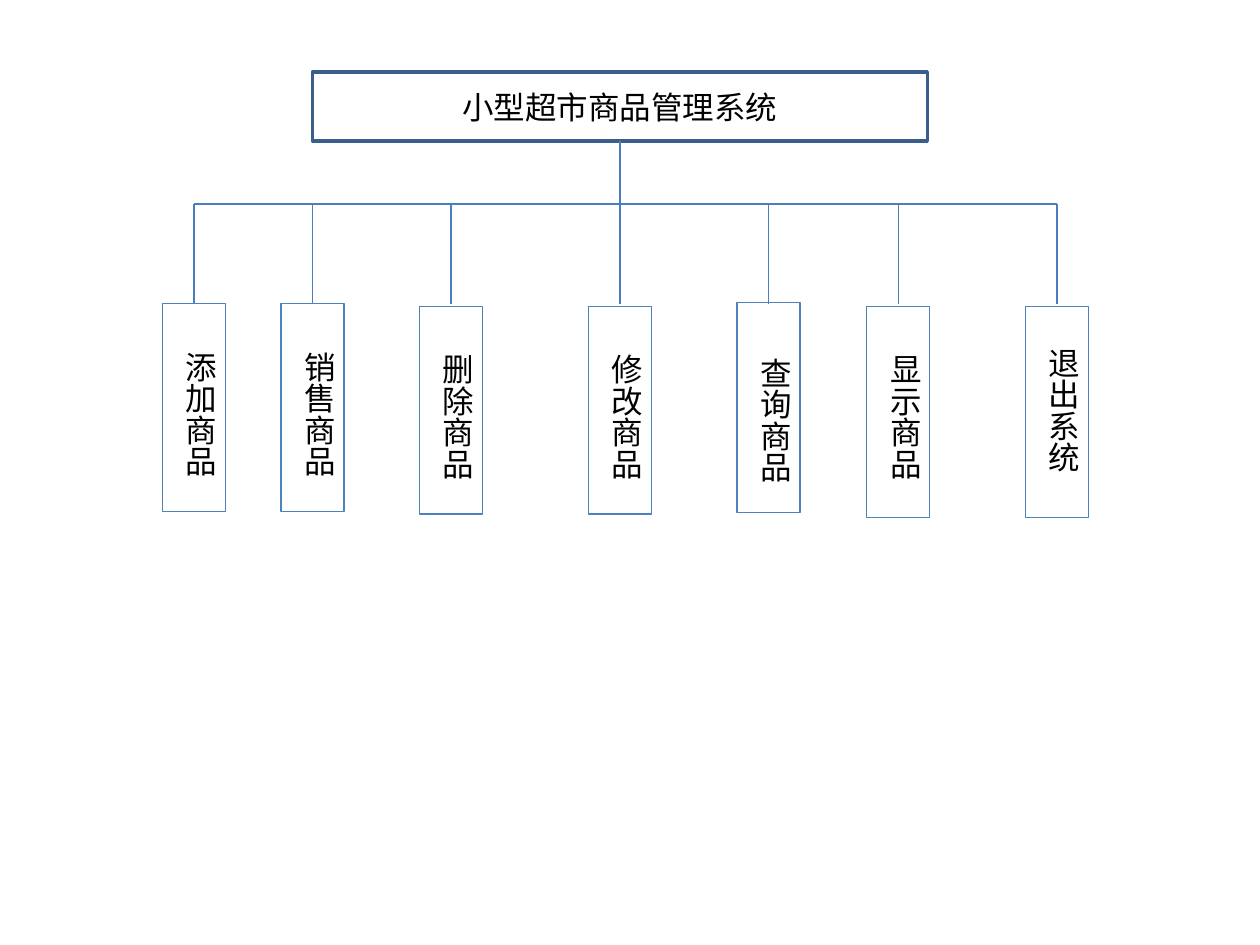
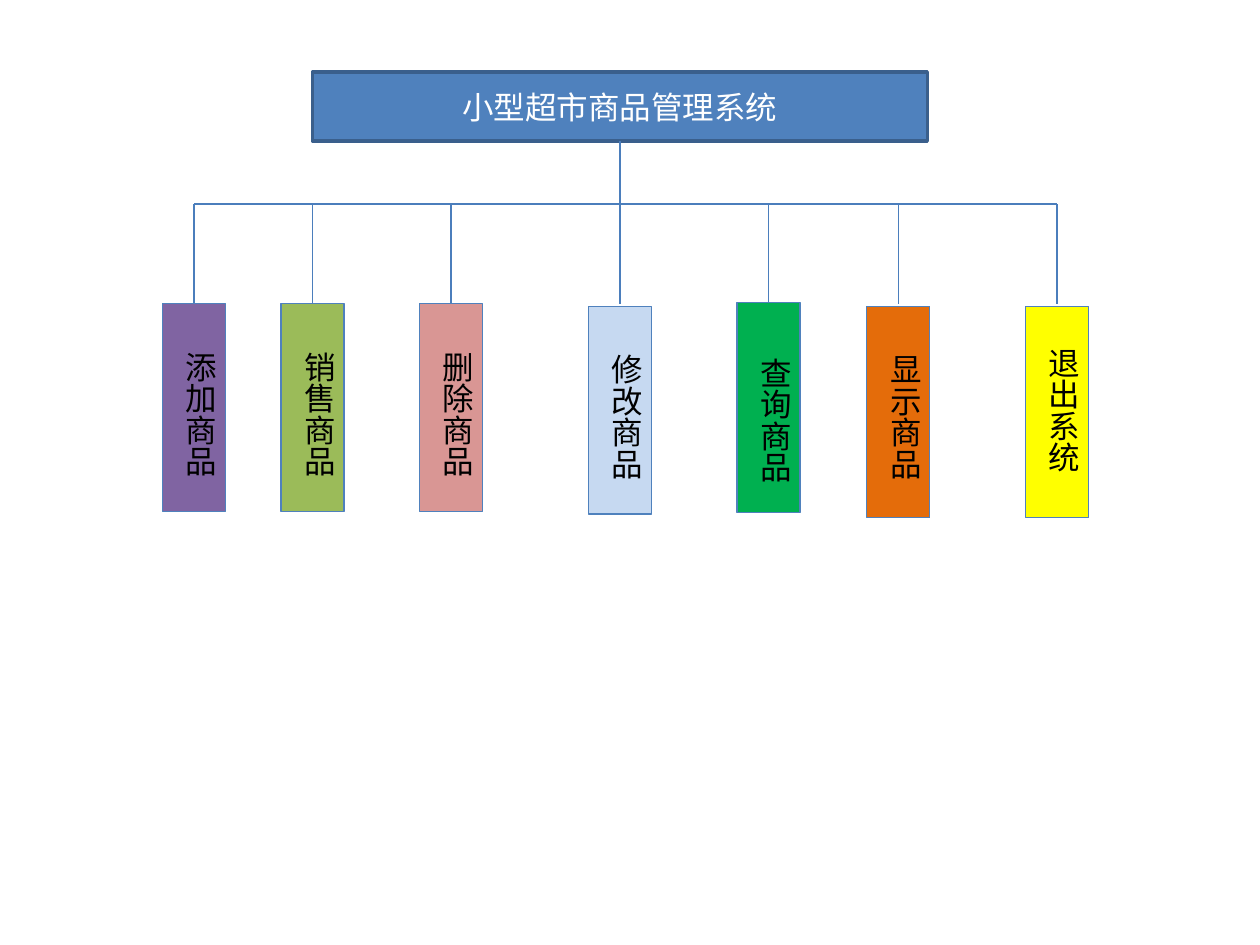
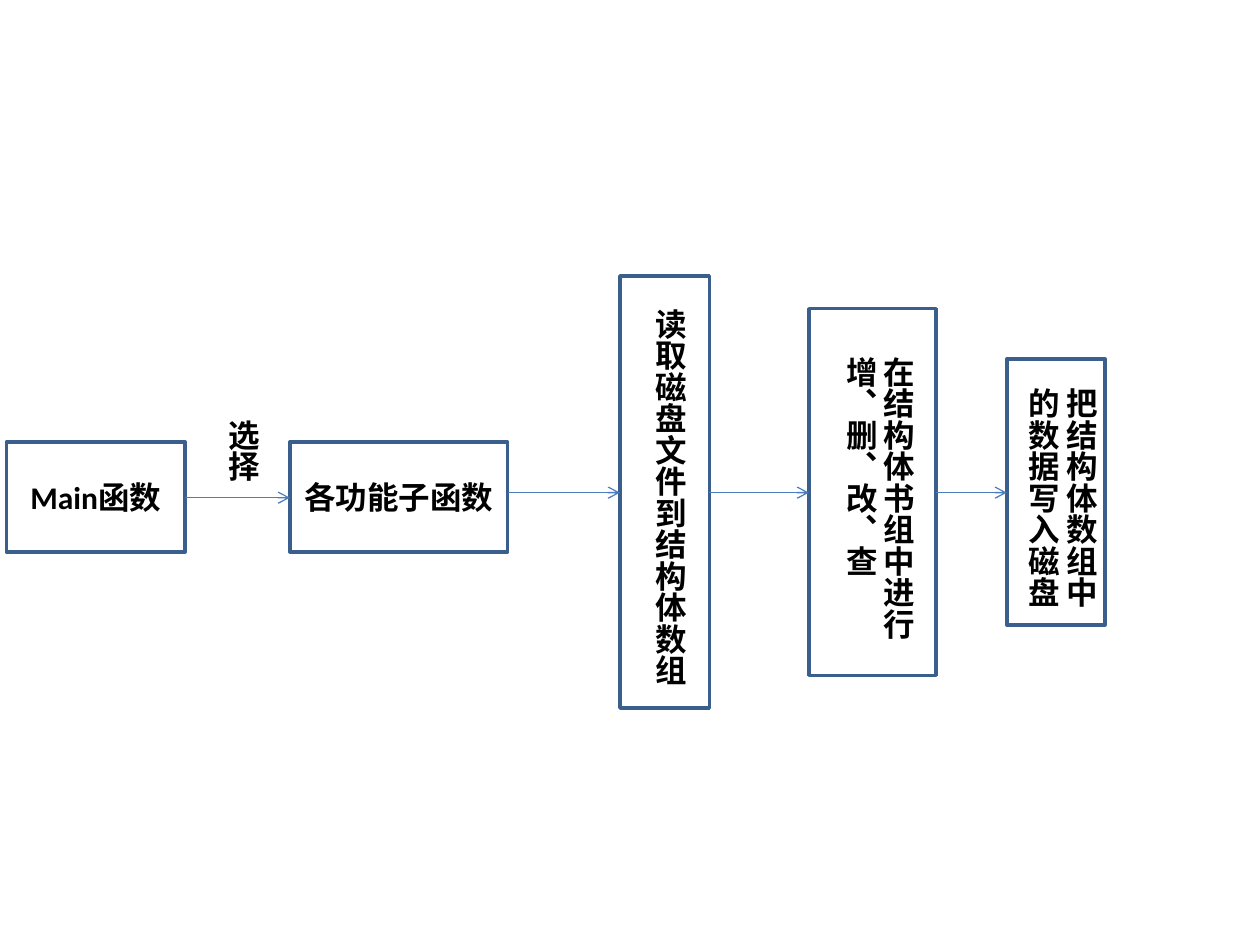
import pptx
import pptx.dml.color
import pptx.enum.shapes
import pptx.enum.text
import pptx.oxml.ns
import pptx.util
from lxml import etree

Inches = pptx.util.Inches
Pt = pptx.util.Pt
qn = pptx.oxml.ns.qn

COLORS = {
    "black": "000000", "white": "FFFFFF", "blue": "4F81BD",
    "frame": "3A5F8C", "link": "4B7EBC", "purple": "8064A2",
    "green": "9BBB59", "pink": "D99694", "pale": "C6D9F1",
    "emerald": "00B050", "orange": "E46C0A", "yellow": "FFFF00",
}

SYSTEM = "小型超市商品管理系统"
BRANCH_Y, LEAF_Y = 1.62, 2.41
LEAVES = [
    ("添加商品", 1.54, 2.41, 1.65, 0.28),
    ("销售商品", 2.48, 2.41, 1.65, 0.28),
    ("删除商品", 3.58, 2.43, 1.65, 0.28),
    ("修改商品", 4.92, 2.43, 1.65, 0.28),
    ("查询商品", 6.1, 2.4, 1.67, 0.34),
    ("显示商品", 7.13, 2.43, 1.68, 0.28),
    ("退出系统", 8.39, 2.43, 1.68, 0.23),
]
LEAF_FILLS = ["purple", "green", "pink", "pale", "emerald", "orange", "yellow"]


class Deck:
    """Holds the presentation, its style and the current slide."""

    def __init__(self):
        self.prs = pptx.Presentation()
        self.prs.slide_width = Inches(10)
        self.prs.slide_height = Inches(7.5)

    def new_slide(self):
        self.s = self.prs.slides.add_slide(self.prs.slide_layouts[6])

    def color(self, name):
        return pptx.dml.color.RGBColor.from_string(COLORS[name])

    def paint(self, sp, fill, line, width):
        if fill:
            sp.fill.solid()
            sp.fill.fore_color.rgb = self.color(fill)
        else:
            sp.fill.background()
        if line:
            sp.line.color.rgb = self.color(line)
            sp.line.width = Pt(width)

    def set_text(self, sp, text, color="black", bold=False):
        sp.text_frame.text = text
        for p in sp.text_frame.paragraphs:
            for r in p.runs:
                r.font.name = "Calibri"
                r.font.size = Pt(18)
                r.font.bold = bold
                r.font.color.rgb = self.color(color)

    def box(self, at, text="", fill=None, color="black", bold=False):
        rect = pptx.enum.shapes.MSO_SHAPE.RECTANGLE
        sp = self.s.shapes.add_shape(rect, *map(Inches, at))
        sp.shadow.inherit = False
        self.paint(sp, fill, "frame", 2)
        if text:
            self.set_text(sp, text, color, bold)
            sp.text_frame.paragraphs[0].alignment = pptx.enum.text.PP_ALIGN.CENTER

    def vertical_text(self, at, text, fill=None, line=None, bold=False, wrap=True, indent=0):
        sp = self.s.shapes.add_textbox(*map(Inches, at))
        self.paint(sp, fill, line, 0.75)
        self.set_text(sp, text, bold=bold)
        tf = sp.text_frame
        tf.word_wrap = wrap
        tf._txBody.find(qn("a:bodyPr")).set("vert", "eaVert")
        if indent:
            tf.paragraphs[0]._p.get_or_add_pPr().set("marL", str(Inches(indent)))

    def line(self, x1, y1, x2, y2, arrow=False):
        straight = pptx.enum.shapes.MSO_CONNECTOR.STRAIGHT
        cn = self.s.shapes.add_connector(straight, *map(Inches, (x1, y1, x2, y2)))
        cn.line.color.rgb = self.color("link")
        cn.line.width = Pt(0.75)
        if arrow:
            etree.SubElement(cn.line._get_or_add_ln(), qn("a:tailEnd"), type="arrow")
        etree.SubElement(cn._element.spPr, qn("a:effectLst"))

    def tree(self, root_fill, root_color, fills, tops):
        self.new_slide()
        self.box((2.48, 0.57, 4.88, 0.55), SYSTEM, root_fill, root_color)
        self.line(4.92, 1.12, 4.92, 1.75)
        self.line(LEAVES[0][1], BRANCH_Y, LEAVES[-1][1], BRANCH_Y)
        for leaf in LEAVES:
            self.line(leaf[1], BRANCH_Y, leaf[1], LEAF_Y)
        for (text, x, top, height, indent), fill in zip(LEAVES, fills):
            at = (x - 0.25, tops.get(text, top), 0.5, height)
            self.vertical_text(at, text, fill, "blue", indent=indent)

    def flow(self):
        self.new_slide()
        for left, width, text in [(0.05, 1.42, "Main函数"), (2.3, 1.73, "各功能子函数")]:
            self.box((left, 3.51, width, 0.87), text, "white", bold=True)
        self.vertical_text((1.63, 3.23, 0.5, 0.81), "选择", bold=True)
        steps = [
            ((4.92, 2.19, 0.71, 3.43), (5.02, 2.35, 0.5, 3.12), "读取磁盘文件到结构体数组"),
            ((6.42, 2.45, 1.01, 2.91), (6.52, 2.73, 0.81, 2.36), "在结构体书组中进行\n增、删、改、查"),
            ((7.99, 2.85, 0.78, 2.11), (7.97, 2.98, 0.81, 1.86), "把结构体数组中\n的数据写入磁盘"),
        ]
        for frame, at, text in steps:
            self.box(frame, fill="white")
            self.vertical_text(at, text, bold=True, wrap=False)
        arrows = [(1.47, 2.3, 3.95), (4.03, 4.92, 3.91), (5.63, 6.42, 3.91), (7.43, 7.99, 3.91)]
        for start, end, y in arrows:
            self.line(start, y, end, y, arrow=True)


def main():
    deck = Deck()
    deck.tree(None, "black", [None] * len(LEAVES), {})
    deck.tree("blue", "white", LEAF_FILLS, {"删除商品": 2.41})
    deck.flow()
    deck.prs.save("out.pptx")


if __name__ == "__main__":
    main()
